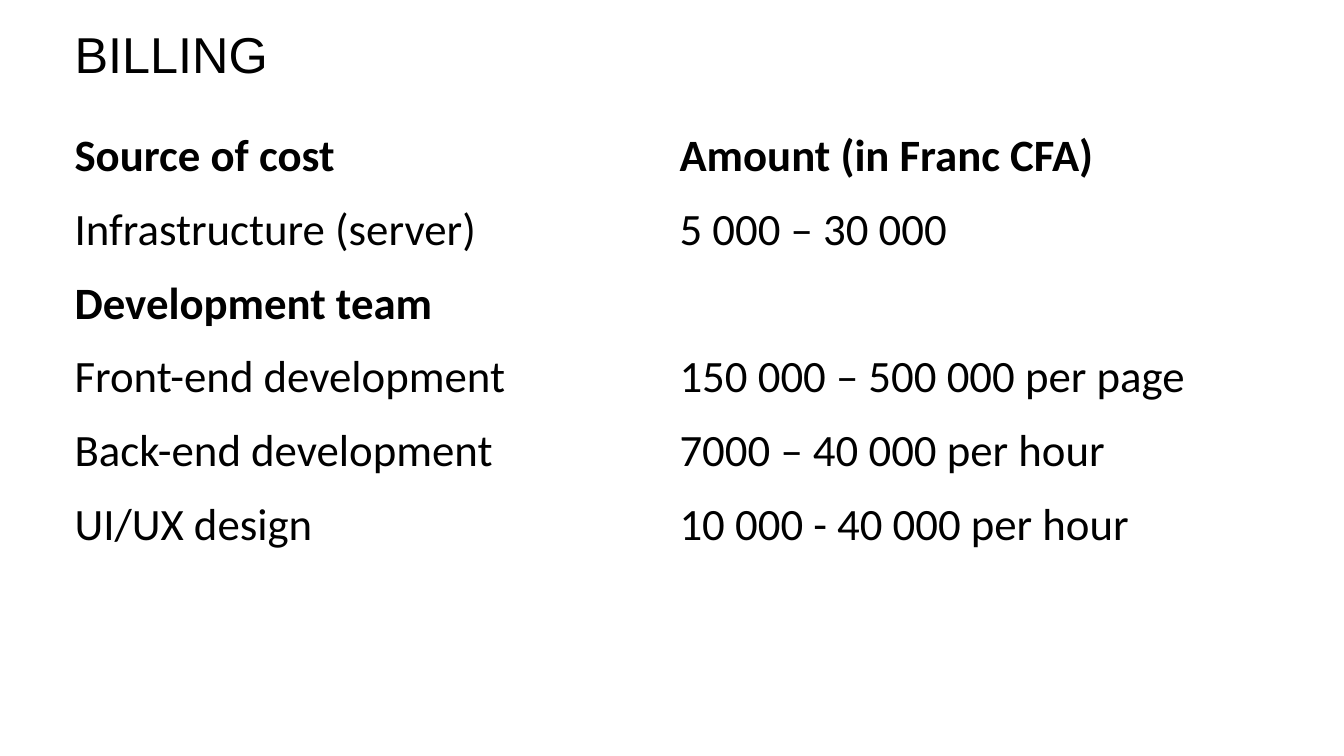
"""Build the billing slide with its cost table."""
from dataclasses import dataclass
from pptx import Presentation, util as u
from pptx.dml.color import RGBColor
from pptx.enum import text as t


@dataclass(frozen=True)
class Theme:
    ink: str = "000000"
    paper: str = "FFFFFF"
    head: str = "Arial"
    body: str = "Calibri"
    big: int = 36
    mid: int = 32


COSTS = [
    ("Source of cost", "Amount (in Franc CFA)"),
    ("Infrastructure (server)", "5 000 – 30 000"),
    ("Development team", ""),
    ("Front-end development", "150 000 – 500 000 per page"),
    ("Back-end development", "7000 – 40 000 per hour"),
    ("UI/UX design", "10 000 - 40 000 per hour"),
]
BOLD = {0, 2}


def write(frame, words, font, size, color, bold=False):
    frame.margin_left = frame.margin_right = u.Inches(0.07)
    frame.margin_top = frame.margin_bottom = 0
    para = frame.paragraphs[0]
    para.alignment = t.PP_ALIGN.LEFT
    para.font.size = u.Pt(size)
    if words:
        run = para.add_run()
        run.text = words
        run.font.name = font
        run.font.size = u.Pt(size)
        run.font.bold = bold
        run.font.color.rgb = RGBColor.from_string(color)


class Page:
    def __init__(self, deck, theme):
        self.theme = theme
        self.slide = deck.slides.add_slide(deck.slide_layouts[5])
        fill = self.slide.background.fill
        fill.solid()
        fill.fore_color.rgb = RGBColor.from_string(theme.paper)

    def title(self, words, box):
        shape = self.slide.shapes.title
        shape.left, shape.top, shape.width, shape.height = map(u.Inches, box)
        frame = shape.text_frame
        frame.auto_size = t.MSO_AUTO_SIZE.NONE
        frame.vertical_anchor = t.MSO_ANCHOR.MIDDLE
        style = self.theme
        write(frame, words, font=style.head, size=style.big, color=style.ink)

    def table(self, rows, bold, box):
        style = self.theme
        grid = self.slide.shapes.add_table(
            len(rows), len(rows[0]), *map(u.Inches, box)).table
        grid.first_row = grid.horz_banding = False
        for i, row in enumerate(rows):
            for j, words in enumerate(row):
                cell = grid.cell(i, j)
                cell.fill.background()
                cell.margin_left = cell.margin_right = u.Inches(0.07)
                cell.margin_top = cell.margin_bottom = 0
                cell.vertical_anchor = t.MSO_ANCHOR.TOP
                write(cell.text_frame, words, font=style.body,
                      size=style.mid, color=style.ink, bold=i in bold)


def main():
    deck = Presentation()
    deck.slide_width, deck.slide_height = u.Inches(13.33), u.Inches(7.5)
    page = Page(deck, Theme())
    page.title("BILLING", (0.67, 0.21, 12, 0.64))
    page.table(COSTS, BOLD, (0.67, 1.28, 12, 4.39))
    deck.save("out.pptx")


if __name__ == "__main__":
    main()
